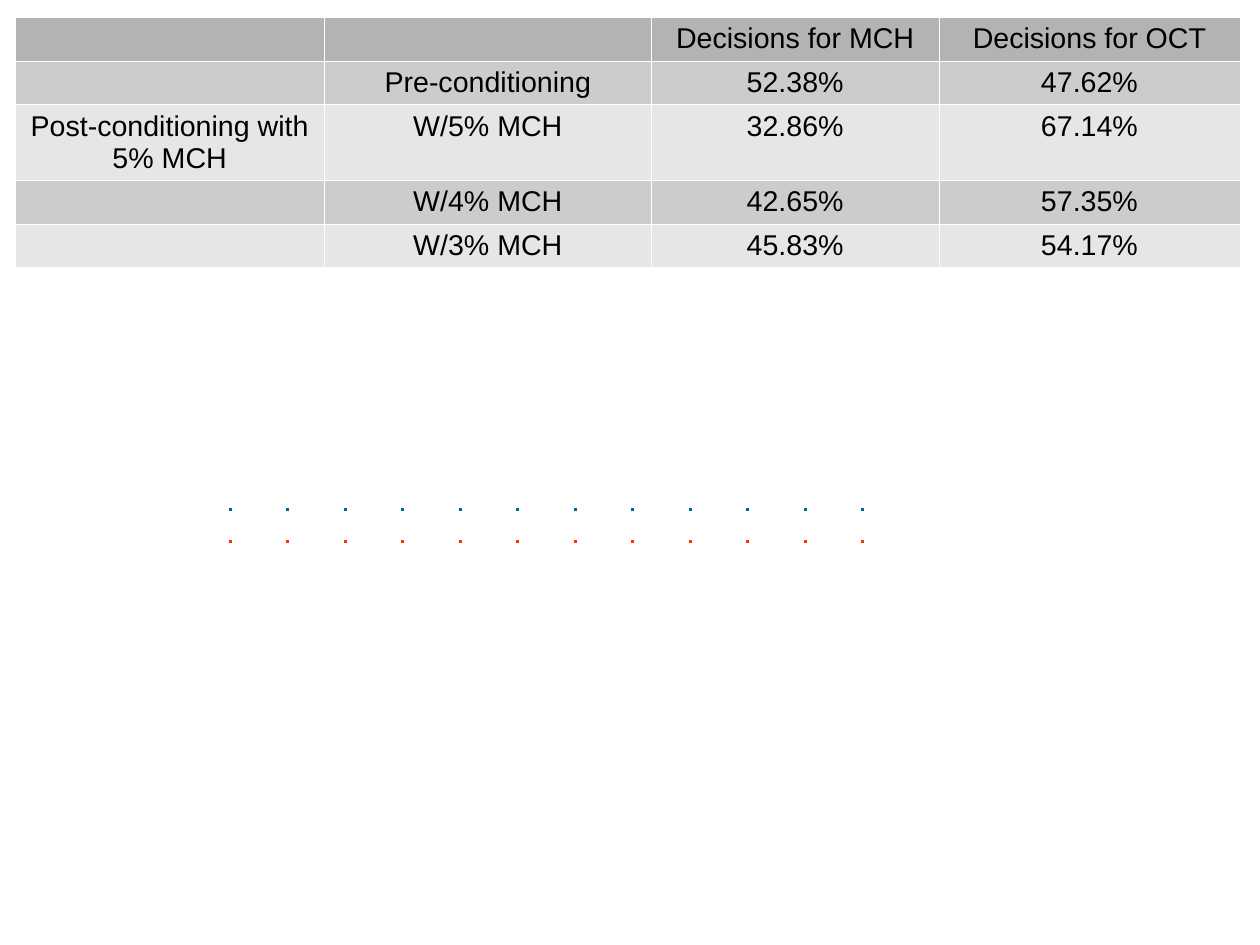
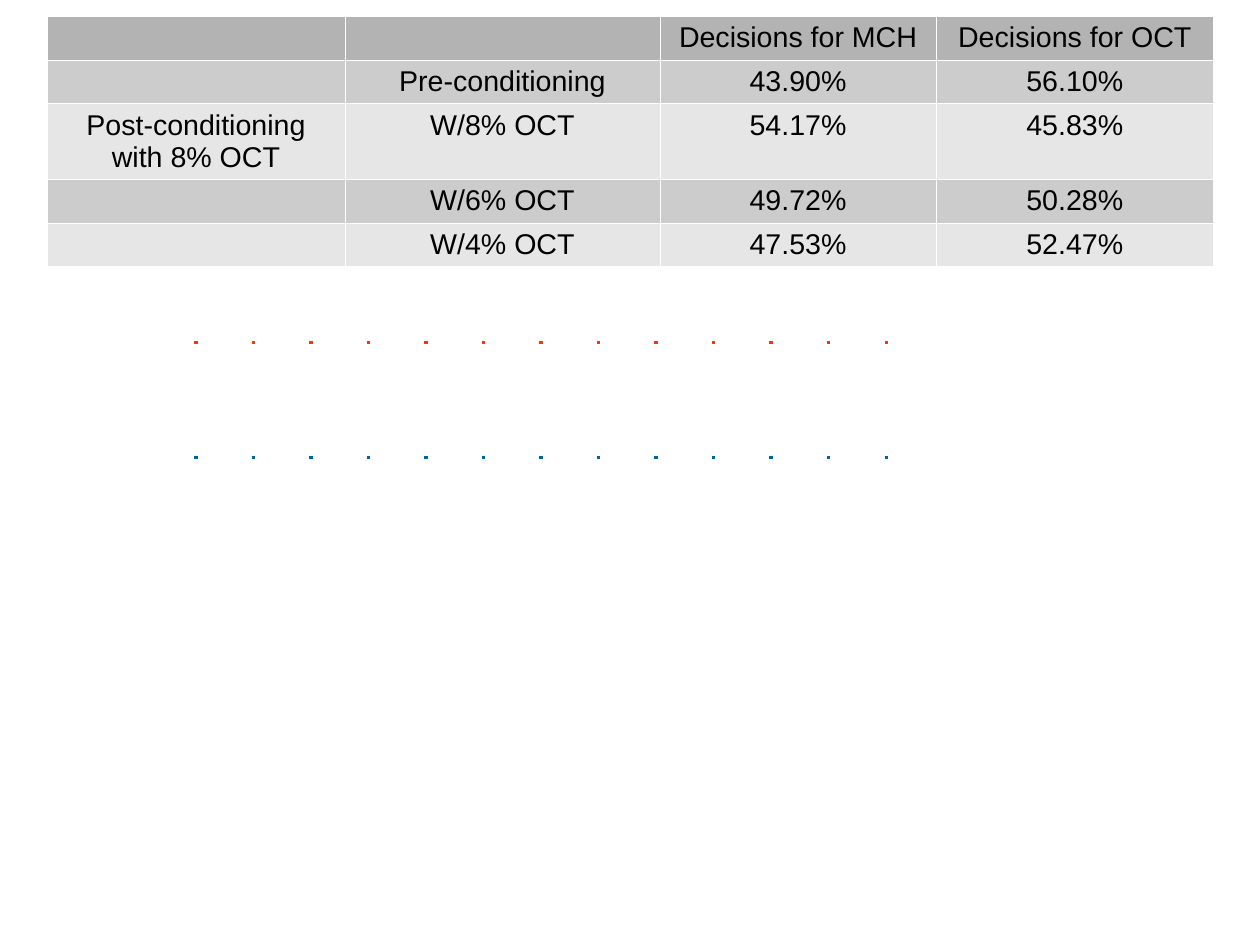
from lxml import etree
from pptx import Presentation
from pptx.dml.color import RGBColor
from pptx.enum.shapes import MSO_CONNECTOR
from pptx.enum.text import PP_ALIGN
from pptx.oxml import parse_xml
from pptx.oxml.ns import nsdecls, qn
from pptx.util import Cm, Pt

STRAIGHT = MSO_CONNECTOR.STRAIGHT
CENTER = PP_ALIGN.CENTER

BLUE = "006699"
RED = "FF3300"
ROW_HEIGHTS = [0.97, 0.97, 1.68, 0.97, 0.97]


def color(value):
    return RGBColor.from_string(value)


class Deck:
    font = "Arial"
    size = 18
    text_color = "000000"
    border_color = "FFFFFF"
    border_width = 0.06
    header_fill = "B3B3B3"
    band_fills = ["CCCCCC", "E6E6E6"]

    def __init__(self, width, height):
        self.presentation = Presentation()
        self.presentation.slide_width = Cm(width)
        self.presentation.slide_height = Cm(height)
        self.slide = None

    def add_slide(self):
        layout = self.presentation.slide_layouts[6]
        self.slide = self.presentation.slides.add_slide(layout)

    def add_table(self, left, top, column_widths, rows):
        table = self.slide.shapes.add_table(
            len(rows), len(column_widths), Cm(left), Cm(top),
            Cm(sum(column_widths)), Cm(sum(ROW_HEIGHTS))).table
        table.first_row = False
        table.horz_banding = False
        for column, width in zip(table.columns, column_widths):
            column.width = Cm(width)
        for index, (row, texts) in enumerate(zip(table.rows, rows)):
            row.height = Cm(ROW_HEIGHTS[index])
            fill = self.band_fills[(index - 1) % 2] if index else self.header_fill
            for cell, text in zip(row.cells, texts):
                self.style_cell(cell, text, fill)

    def style_cell(self, cell, text, fill):
        cell.fill.solid()
        cell.fill.fore_color.rgb = color(fill)
        self.add_borders(cell)
        cell.text_frame.text = text
        paragraph = cell.text_frame.paragraphs[0]
        paragraph.alignment = CENTER
        font = paragraph.runs[0].font if text else paragraph.font
        font.name = self.font
        font.size = Pt(self.size)
        font.color.rgb = color(self.text_color)

    def add_borders(self, cell):
        properties = cell._tc.get_or_add_tcPr()
        for position, side in enumerate(["lnL", "lnR", "lnT", "lnB"]):
            properties.insert(position, parse_xml(
                f'<a:{side} {nsdecls("a")} w="{Pt(self.border_width)}"><a:solidFill>'
                f'<a:srgbClr val="{self.border_color}"/></a:solidFill></a:{side}>'))

    def add_dotted_line(self, left, right, top, line_color):
        connector = self.slide.shapes.add_connector(
            STRAIGHT, Cm(left), Cm(top), Cm(right), Cm(top))
        connector.line.color.rgb = color(line_color)
        connector.line.width = Pt(0)
        dash = etree.SubElement(connector.line._get_or_add_ln(), qn("a:custDash"))
        etree.SubElement(dash, qn("a:ds"), d="100000", sp="1700000")
        etree.SubElement(connector._element.spPr, qn("a:effectLst"))


def decision_rows(odor, concentrations, decisions):
    labels = ["Pre-conditioning"] + [f"W/{value}% {odor}" for value in concentrations]
    groups = ["", f"Post-conditioning with {concentrations[0]}% {odor}", "", ""]
    header = ["", "", "Decisions for MCH", "Decisions for OCT"]
    return [header] + [
        [group, label, f"{mch:.2f}%", f"{100 - mch:.2f}%"]
        for group, label, mch in zip(groups, labels, decisions)]


def main():
    deck = Deck(28, 21)

    deck.add_slide()
    deck.add_table(0.33, 0.38, [6.88, 7.26, 6.4, 6.68],
                   decision_rows("MCH", [5, 4, 3], [52.38, 32.86, 42.65, 45.83]))
    deck.add_dotted_line(5.08, 19.56, 11.33, BLUE)
    deck.add_dotted_line(5.08, 19.56, 12.04, RED)

    deck.add_slide()
    deck.add_table(1.04, 0.36, [6.63, 6.99, 6.15, 6.15],
                   decision_rows("OCT", [8, 6, 4], [43.90, 54.17, 49.72, 47.53]))
    deck.add_dotted_line(4.32, 20.07, 10.16, BLUE)
    deck.add_dotted_line(4.32, 20.07, 7.62, RED)

    deck.presentation.save("out.pptx")


if __name__ == "__main__":
    main()
